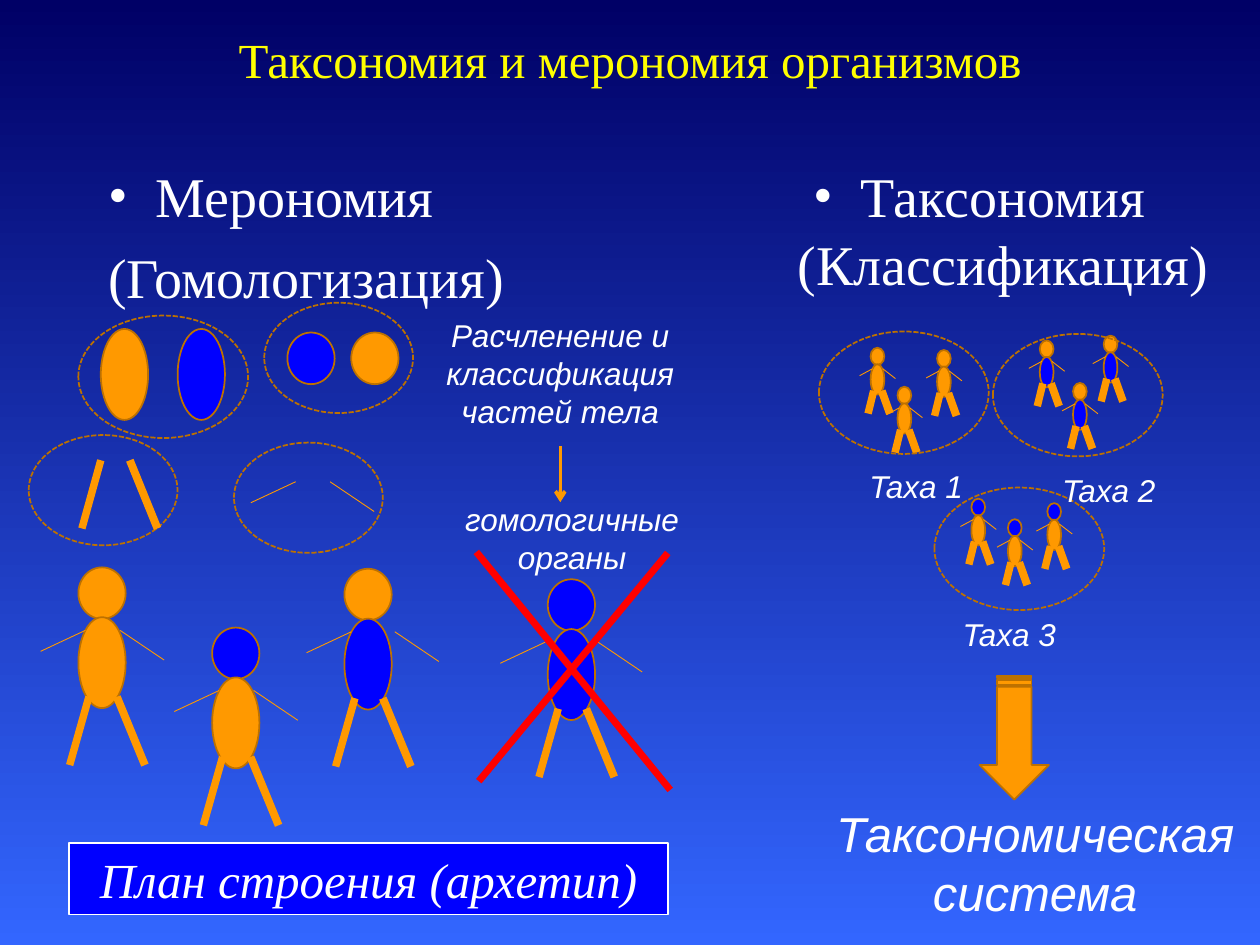
from lxml import etree
from pptx import Presentation
from pptx.dml.color import RGBColor
from pptx.enum.dml import MSO_LINE
from pptx.enum.shapes import MSO_CONNECTOR, MSO_SHAPE as SHAPE
from pptx.enum.text import MSO_ANCHOR as ANCHOR, MSO_AUTO_SIZE as AUTO, PP_ALIGN as ALIGN
from pptx.oxml.ns import qn
from pptx.util import Pt

NAVY = RGBColor(0x00, 0x00, 0x66)
SKY = RGBColor(0x33, 0x66, 0xFF)
BLUE = RGBColor(0x00, 0x00, 0xFF)
ORANGE = RGBColor(0xFF, 0x99, 0x00)
BROWN = RGBColor(0xBD, 0x71, 0x00)
YELLOW = RGBColor(0xFF, 0xFF, 0x00)
WHITE = RGBColor(0xFF, 0xFF, 0xFF)
RED = RGBColor(0xFF, 0x00, 0x00)
SERIF, SANS = "Times New Roman", "Arial"


def add_outlined(parent, preset, left, top, width, height, fill=None, outline=BROWN):
    outlined = parent.add_shape(preset, Pt(left), Pt(top), Pt(width), Pt(height))
    outlined.shadow.inherit = False
    outlined.line.color.rgb = outline
    outlined.line.width = Pt(1)
    if fill is None:
        outlined.fill.background()
        outlined.line.dash_style = MSO_LINE.SQUARE_DOT
    else:
        outlined.fill.solid()
        outlined.fill.fore_color.rgb = fill
    return outlined


def add_stroke(parent, x1, y1, x2, y2, weight, color=ORANGE):
    stroke = parent.add_connector(MSO_CONNECTOR.STRAIGHT, Pt(x1), Pt(y1), Pt(x2), Pt(y2))
    stroke.line.color.rgb = color
    stroke.line.width = Pt(weight)
    etree.SubElement(stroke._element.spPr, qn("a:effectLst"))
    return stroke


prs = Presentation()
prs.slide_width, prs.slide_height = Pt(720), Pt(540)
slide = prs.slides.add_slide(prs.slide_layouts[5])
shapes = slide.shapes

backdrop = slide.background.fill
backdrop.gradient()
backdrop.gradient_angle = 270
for stop, position, color in zip(backdrop.gradient_stops, (0, 1), (NAVY, SKY)):
    stop.position = position
    stop.color.rgb = color

title = shapes.title
title.left, title.top, title.width, title.height = Pt(54), Pt(0.7), Pt(612), Pt(66.3)
title.text_frame.text = "Таксономия и мерономия организмов"
title.text_frame.auto_size = AUTO.NONE
title.text_frame.vertical_anchor = ANCHOR.MIDDLE
heading = title.text_frame.paragraphs[0]
heading.alignment = ALIGN.CENTER
heading.font.name, heading.font.size = SERIF, Pt(28)
heading.font.color.rgb = YELLOW

columns = [
    (54.7, 260.6, ALIGN.LEFT, ["Мерономия", "(Гомологизация)"]),
    (414.7, 290.2, ALIGN.CENTER, ["Таксономия (Классификация)"]),
]
for left, width, align, lines in columns:
    column = shapes.add_textbox(Pt(left), Pt(89), Pt(width), Pt(88)).text_frame
    column.word_wrap = True
    column.text = "\n".join(lines)
    for number, line in enumerate(column.paragraphs):
        if number == 0:
            bulleted = line._p.get_or_add_pPr()
            bulleted.set("marL", str(Pt(27)))
            bulleted.set("indent", str(-Pt(27)))
            etree.SubElement(bulleted, qn("a:buFont")).set("typeface", SERIF)
            etree.SubElement(bulleted, qn("a:buChar")).set("char", "•")
        else:
            line.space_before = Pt(7.7)
        line.alignment = align
        line.font.name, line.font.size = SERIF, Pt(32)
        line.font.color.rgb = WHITE

result_arrow = add_outlined(shapes, SHAPE.STRIPED_RIGHT_ARROW, 544.3, 401.8, 70.6, 39.6, ORANGE)
result_arrow.rotation = 90

archetype = add_outlined(shapes, SHAPE.RECTANGLE, 39.6, 481.7, 342, 41, BLUE, WHITE)
archetype.text_frame.text = "План строения (архетип)"
plan = archetype.text_frame.paragraphs[0]
plan.alignment = ALIGN.CENTER
plan.font.name, plan.font.size, plan.font.italic = SERIF, Pt(28), True
plan.font.color.rgb = WHITE

LARGE, SMALL = (1, 1), (0.29, 0.333)
organisms = [
    (497.5, 198.7, SMALL, ORANGE, ORANGE, 0, 0),
    (512.9, 221, SMALL, ORANGE, ORANGE, 0, 0),
    (535.5, 200, SMALL, ORANGE, ORANGE, 0, 0),
    (594.2, 194.5, SMALL, ORANGE, BLUE, 0, 0),
    (613.2, 218.8, SMALL, ORANGE, BLUE, 0, 0),
    (630.7, 191.8, SMALL, ORANGE, BLUE, 0, 0),
    (555.1, 284.9, SMALL, BLUE, ORANGE, 0, 0),
    (576, 296.7, SMALL, BLUE, ORANGE, 0, 0),
    (598.5, 287.5, SMALL, BLUE, ORANGE, 0, 0),
    (44.8, 324.2, LARGE, ORANGE, ORANGE, 0, 0),
    (121.2, 358.6, LARGE, BLUE, ORANGE, 0, 0),
    (196.8, 325, LARGE, ORANGE, BLUE, 0, 5),
    (313, 331, LARGE, BLUE, BLUE, -5.5, 5),
]
for left, top, (sx, sy), head, body, left_shift, right_shift in organisms:
    organism = shapes.add_group_shape().shapes
    add_outlined(organism, SHAPE.OVAL, left, top, 27 * sx, 29.5 * sy, head)
    add_outlined(organism, SHAPE.OVAL, left, top + 28.5 * sy, 27 * sx, 52 * sy, body)
    limbs = [
        (4 + left_shift, 36, -21.6 + left_shift, 48, 0.5),
        (23.8 + right_shift, 36, 49 + right_shift, 53, 0.5),
        (22, 74, 38, 113, 4.5),
        (6, 74, -5, 113, 4.25),
    ]
    for x1, y1, x2, y2, weight in limbs:
        add_stroke(organism, left + x1 * sx, top + y1 * sy, left + x2 * sx, top + y2 * sy, weight)

for left, top in [(468, 189.4), (567.4, 190.8), (534, 278.6), (44.8, 180.3)]:
    add_outlined(shapes, SHAPE.OVAL, left, top, 97, 70)
for left, top in [(151, 173), (16.4, 248.6), (133.7, 252.9)]:
    add_outlined(shapes, SHAPE.OVAL, left, top, 85, 63)

body_parts = shapes.add_group_shape().shapes
for left, top, height, fill in [
    (57.6, 188, 52, ORANGE),
    (101.5, 188, 52, BLUE),
    (164.2, 190, 29.5, BLUE),
    (200.7, 190, 29.5, ORANGE),
]:
    add_outlined(body_parts, SHAPE.OVAL, left, top, 27, height, fill)
for x1, y1, x2, y2, weight in [
    (169, 275.3, 143.3, 287.3, 0.5),
    (188.6, 275.3, 213.8, 292.3, 0.5),
    (74.2, 263, 90, 302, 4.5),
    (57.6, 263, 46.8, 302, 4.25),
]:
    add_stroke(body_parts, x1, y1, x2, y2, weight)

add_stroke(shapes, 272.2, 315.4, 383, 451.4, 4, RED)
add_stroke(shapes, 381.6, 316, 273.6, 446.4, 4, RED)

homology_arrow = add_stroke(shapes, 320.2, 254.9, 320.2, 287, 2)
etree.SubElement(homology_arrow.line._get_or_add_ln(), qn("a:tailEnd")).set("type", "arrow")

captions = [
    (473.8, 263.5, 99.4, 29, 18, "Taxa 1"),
    (583.9, 265.7, 99.4, 29, 18, "Taxa 2"),
    (527, 347.8, 99.4, 29, 18, "Taxa 3"),
    (225.4, 177.1, 189.4, 72.7, 18, "Расчленение и классификация частей тела"),
    (225.4, 282.2, 203, 29, 18, "гомологичные органы"),
    (467.3, 455.8, 248.4, 75, 28, "Таксономическая система"),
]
for left, top, width, height, size, words in captions:
    caption = shapes.add_textbox(Pt(left), Pt(top), Pt(width), Pt(height)).text_frame
    caption.word_wrap = True
    caption.text = words
    label = caption.paragraphs[0]
    label.alignment = ALIGN.CENTER
    label.font.name, label.font.size, label.font.italic = SANS, Pt(size), True
    label.font.color.rgb = WHITE

prs.save("out.pptx")
